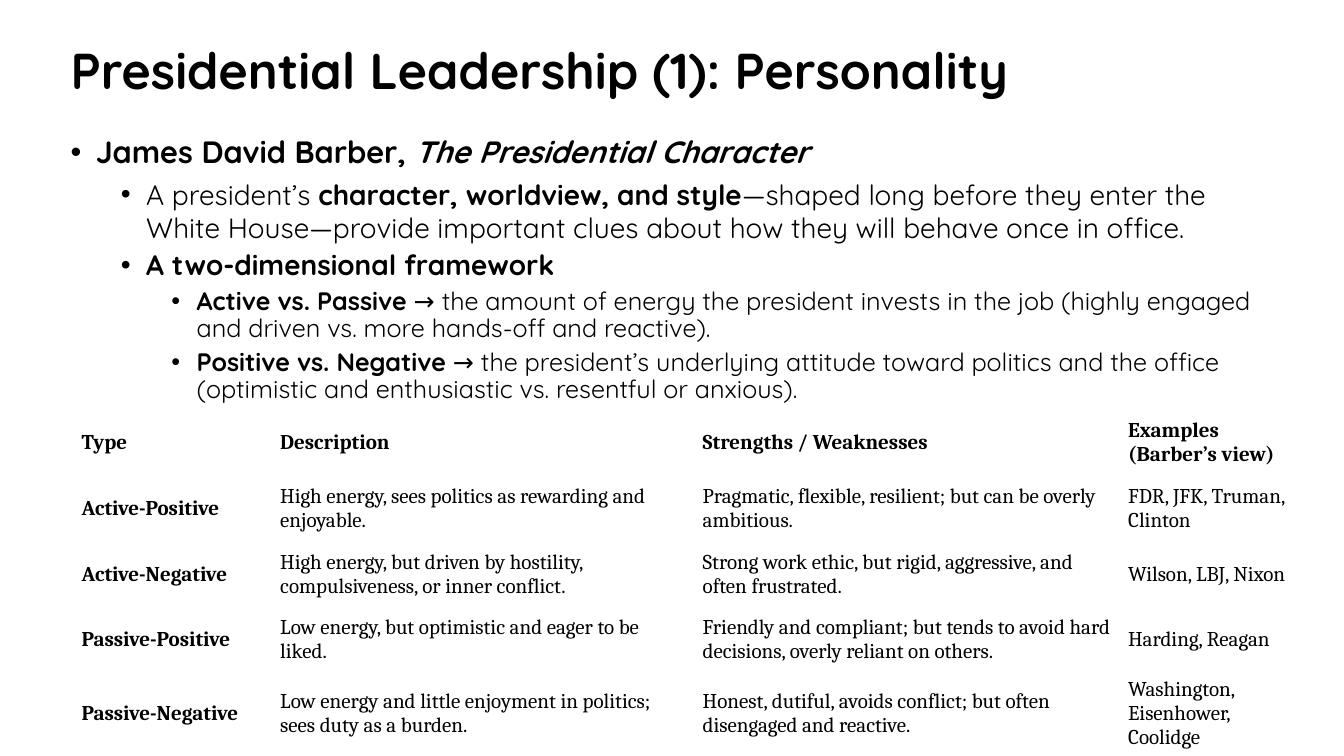
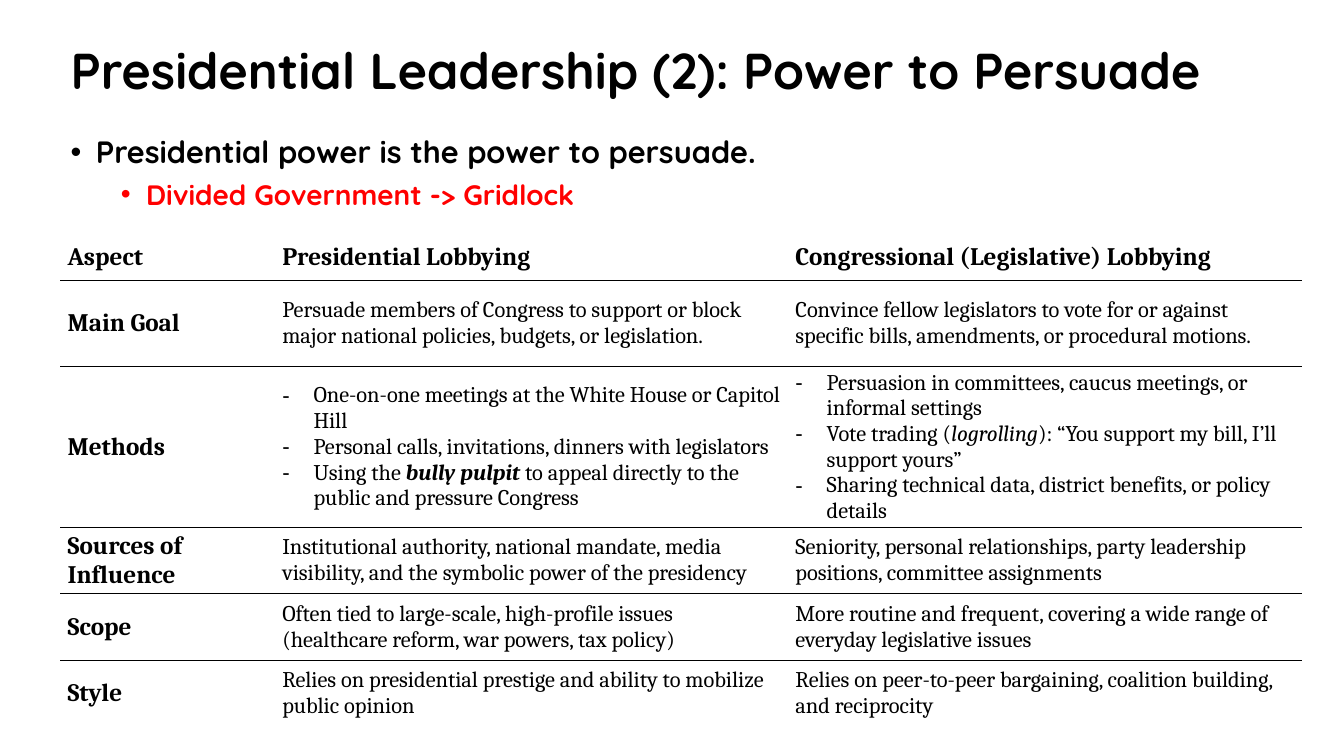
from lxml import etree
from pptx import Presentation
from pptx.dml.color import RGBColor
from pptx.enum import text
from pptx.oxml import ns
from pptx.util import Inches, Pt

BLACK = RGBColor(0, 0, 0)
RED = RGBColor(255, 0, 0)
HEADING_FONT = "Quicksand"
TABLE_FONT = "Cambria"
PLAIN_TABLE_STYLE = "{2D5ABB26-0587-4C30-8999-92F81FD0307C}"
BOLD = {"bold": True}
LIGHT = {"bold": False}
ITALIC = {"italic": True}
BOLD_ITALIC = {"bold": True, "italic": True}
TITLE_BOX = (0.6, 0, 11.5, 1.45)
BODY_BOX = (0.6, 1.27, 12.13, 6.23)
BODY_SIZES = (22, 20, 18)

CHARACTER_POINTS = [
    (0, 1.0, BLACK, [("James David Barber, ", BOLD), ("The Presidential Character", BOLD_ITALIC)]),
    (1, 1.0, BLACK, [
        ("A president’s ", LIGHT),
        ("character, worldview, and style", BOLD),
        ("—shaped long before they enter the White House—provide important clues "
         "about how they will behave once in office.", LIGHT)]),
    (1, 0.9, BLACK, [("A two-dimensional framework", BOLD)]),
    (2, 0.9, BLACK, [
        ("Active vs. Passive", BOLD),
        (" → the amount of energy the president invests in the job "
         "(highly engaged and driven vs. more hands-off and reactive).", LIGHT)]),
    (2, 0.9, BLACK, [
        ("Positive vs. Negative", BOLD),
        (" → the president’s underlying attitude toward politics and the office "
         "(optimistic and enthusiastic vs. resentful or anxious).", LIGHT)]),
]
CHARACTER_ROWS = [
    ["Type", "Description", "Strengths / Weaknesses", "Examples (Barber’s view)"],
    ["Active-Positive", "High energy, sees politics as rewarding and enjoyable.",
     "Pragmatic, flexible, resilient; but can be overly ambitious.",
     "FDR, JFK, Truman, Clinton"],
    ["Active-Negative", "High energy, but driven by hostility, compulsiveness, or inner conflict.",
     "Strong work ethic, but rigid, aggressive, and often frustrated.",
     "Wilson, LBJ, Nixon"],
    ["Passive-Positive", "Low energy, but optimistic and eager to be liked.",
     "Friendly and compliant; but tends to avoid hard decisions, overly reliant on others.",
     "Harding, Reagan"],
    ["Passive-Negative", "Low energy and little enjoyment in politics; sees duty as a burden.",
     "Honest, dutiful, avoids conflict; but often disengaged and reactive.",
     "Washington, Eisenhower, Coolidge"],
]
CHARACTER_TABLE = {
    "box": (0.73, 4.06, 12.31, 3.28), "columns": (1.97, 4.19, 4.22, 1.93),
    "heights": (0.66, 0.66, 0.64, 0.66, 0.66), "margins": (0.08, 0.04),
    "label_size": 15, "text_size": 15, "rule": None,
}

PERSUASION_POINTS = [
    (0, 1.0, BLACK, [("Presidential power is the power to persuade.", BOLD)]),
    (1, 1.0, RED, [("Divided Government -> Gridlock", BOLD)]),
]
PERSUASION_ROWS = [
    ["Aspect", "Presidential Lobbying", "Congressional (Legislative) Lobbying"],
    ["Main Goal",
     "Persuade members of Congress to support or block major national policies, budgets, or legislation.",
     "Convince fellow legislators to vote for or against specific bills, amendments, or procedural motions."],
    ["Methods",
     [[("One-on-one meetings at the White House or Capitol Hill", {})],
      [("Personal calls, invitations, dinners with legislators", {})],
      [("Using the ", {}), ("bully pulpit ", BOLD_ITALIC),
       ("to appeal directly to the public and pressure Congress", {})]],
     [[("Persuasion in committees, caucus meetings, or informal settings", {})],
      [("Vote trading (", {}), ("logrolling", ITALIC),
       ("): “You support my bill, I’ll support yours”", {})],
      [("Sharing technical data, district benefits, or policy details", {})]]],
    ["Sources of Influence",
     "Institutional authority, national mandate, media visibility, and the symbolic power of the presidency",
     "Seniority, personal relationships, party leadership positions, committee assignments"],
    ["Scope",
     "Often tied to large-scale, high-profile issues (healthcare reform, war powers, tax policy)",
     "More routine and frequent, covering a wide range of everyday legislative issues"],
    ["Style",
     "Relies on presidential prestige and ability to mobilize public opinion",
     "Relies on peer-to-peer bargaining, coalition building, and reciprocity"],
]
PERSUASION_TABLE = {
    "box": (0.6, 2.32, 12.31, 4.75), "columns": (2.13, 5.09, 5.09),
    "heights": (0.46, 0.86, 1.45, 0.66, 0.66, 0.66), "margins": (0.07, 0.03),
    "label_size": 18, "text_size": 16, "rule": BLACK,
}


def apply_format(target, values):
    for name, value in values.items():
        setattr(target, name, value)


def place(shape, box):
    names = ("left", "top", "width", "height")
    apply_format(shape, dict(zip(names, map(Inches, box))))


def add_runs(paragraph, runs, font, size, color, base=LIGHT):
    for words, style in runs:
        run = paragraph.add_run()
        run.text = words
        apply_format(run.font, {"name": font, "size": Pt(size), **base, **style})
        run.font.color.rgb = color


def set_bullet(paragraph, character, margin, hanging):
    properties = paragraph._p.get_or_add_pPr()
    properties.set("marL", str(Inches(margin)))
    properties.set("indent", str(-Inches(hanging)))
    etree.SubElement(properties, ns.qn("a:buFont")).set("typeface", "Arial")
    etree.SubElement(properties, ns.qn("a:buChar")).set("char", character)


def paragraphs_of(frame, count):
    return [frame.paragraphs[0]] + [frame.add_paragraph() for _ in range(count - 1)]


def fill_title(shape, box, words):
    place(shape, box)
    apply_format(shape.text_frame, {
        "word_wrap": True, "auto_size": text.MSO_AUTO_SIZE.NONE,
        "vertical_anchor": text.MSO_ANCHOR.MIDDLE})
    paragraph = shape.text_frame.paragraphs[0]
    apply_format(paragraph, {"alignment": text.PP_ALIGN.LEFT, "line_spacing": 0.9})
    add_runs(paragraph, [(words, BOLD)], HEADING_FONT, 36, BLACK)


def fill_body(shape, box, points):
    place(shape, box)
    frame = shape.text_frame
    apply_format(frame, {"word_wrap": True, "auto_size": text.MSO_AUTO_SIZE.NONE})
    for paragraph, (level, spacing, color, runs) in zip(paragraphs_of(frame, len(points)), points):
        apply_format(paragraph, {
            "level": level, "line_spacing": spacing, "space_before": Pt(5 if level else 10)})
        set_bullet(paragraph, "•", 0.25 + 0.5 * level, 0.25)
        add_runs(paragraph, runs, HEADING_FONT, BODY_SIZES[level], color)


def add_bottom_rule(cell, color):
    properties = cell._tc.get_or_add_tcPr()
    line = etree.Element(ns.qn("a:lnB"), w=str(Pt(1)))
    fill = etree.SubElement(line, ns.qn("a:solidFill"))
    etree.SubElement(fill, ns.qn("a:srgbClr")).set("val", str(color))
    properties.insert(0, line)


def fill_cell(cell, content, size, base, margins):
    side, edge = map(Inches, margins)
    apply_format(cell, {
        "margin_left": side, "margin_right": side, "margin_top": edge,
        "margin_bottom": edge, "vertical_anchor": text.MSO_ANCHOR.MIDDLE})
    cell.fill.background()
    bulleted = isinstance(content, list)
    items = content if bulleted else [[(content, {})]]
    for paragraph, runs in zip(paragraphs_of(cell.text_frame, len(items)), items):
        if bulleted:
            set_bullet(paragraph, "-", 0.31, 0.31)
        add_runs(paragraph, runs, TABLE_FONT, size, BLACK, base)


def add_comparison_table(slide, rows, design):
    frame = slide.shapes.add_table(len(rows), len(rows[0]), *map(Inches, design["box"]))
    table = frame.table
    apply_format(table, {"first_row": False, "horz_banding": False})
    table._tbl.tblPr.find(ns.qn("a:tableStyleId")).text = PLAIN_TABLE_STYLE
    for column, width in zip(table.columns, design["columns"]):
        column.width = Inches(width)
    for row, height in zip(table.rows, design["heights"]):
        row.height = Inches(height)
    for row_index, row in enumerate(rows):
        for column_index, content in enumerate(row):
            cell = table.cell(row_index, column_index)
            is_label = row_index == 0 or column_index == 0
            size = design["label_size" if is_label else "text_size"]
            fill_cell(cell, content, size, BOLD if is_label else LIGHT, design["margins"])
            if design["rule"] is not None and row_index < len(rows) - 1:
                add_bottom_rule(cell, design["rule"])


def add_leadership_slide(presentation, title, points, rows, design):
    slide = presentation.slides.add_slide(presentation.slide_layouts[1])
    fill_title(slide.shapes.title, TITLE_BOX, title)
    fill_body(slide.placeholders[1], BODY_BOX, points)
    add_comparison_table(slide, rows, design)


def main():
    presentation = Presentation()
    apply_format(presentation, {"slide_width": Inches(13.33), "slide_height": Inches(7.5)})
    add_leadership_slide(presentation, "Presidential Leadership (1): Personality",
                         CHARACTER_POINTS, CHARACTER_ROWS, CHARACTER_TABLE)
    add_leadership_slide(presentation, "Presidential Leadership (2): Power to Persuade",
                         PERSUASION_POINTS, PERSUASION_ROWS, PERSUASION_TABLE)
    presentation.save("out.pptx")


if __name__ == "__main__":
    main()
